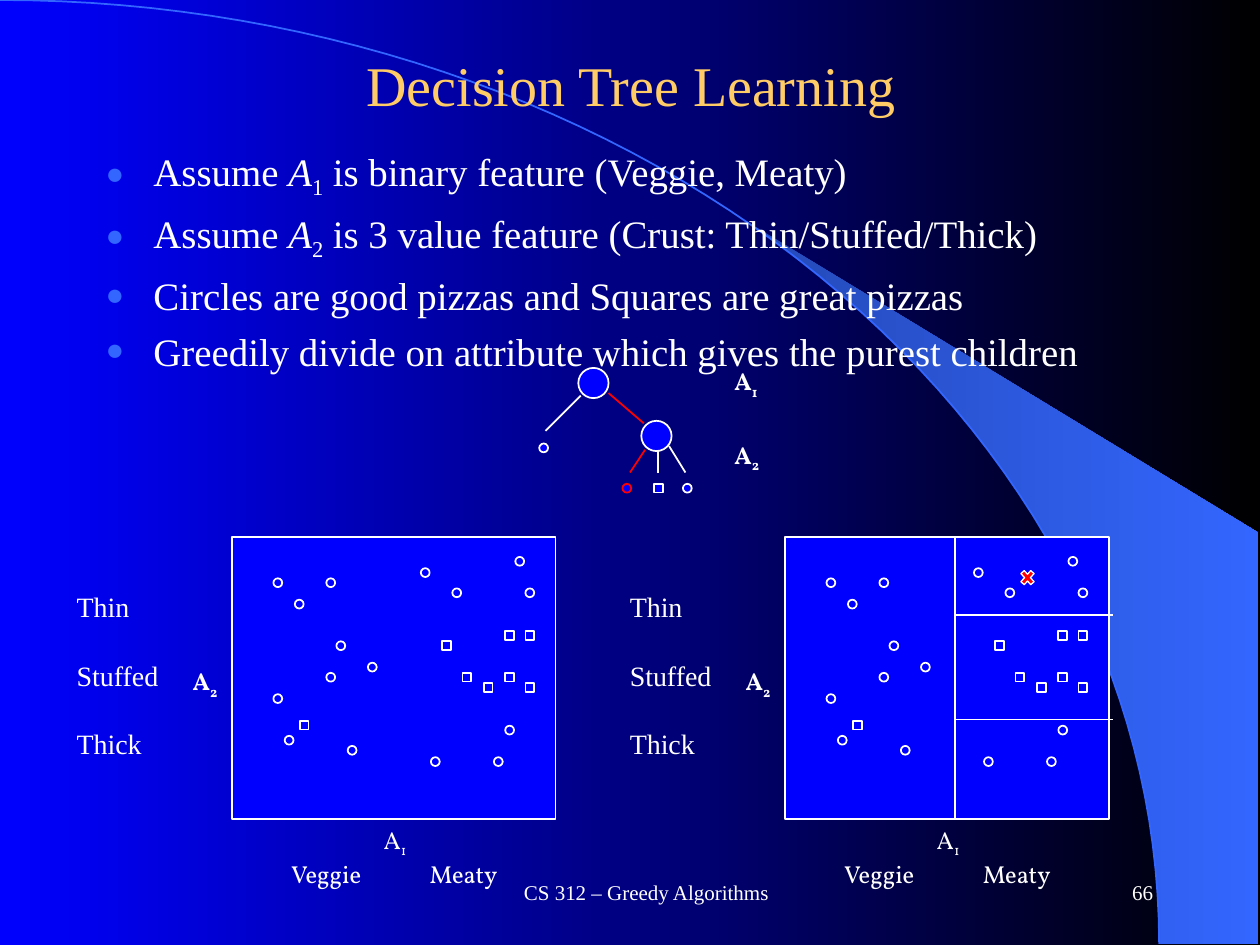
from dataclasses import dataclass
from math import asin, cos, pi, sin

from lxml.etree import SubElement
from pptx import Presentation
from pptx.dml.color import RGBColor
from pptx.enum.shapes import MSO_CONNECTOR as Link, MSO_SHAPE as Kind
from pptx.enum.text import MSO_ANCHOR as Anchor, PP_ALIGN as Align
from pptx.oxml.ns import qn
from pptx.util import Inches, Pt

BLUE = RGBColor(0x00, 0x00, 0xFF)
BLACK = RGBColor(0x00, 0x00, 0x00)
WHITE = RGBColor(0xFF, 0xFF, 0xFF)
RED = RGBColor(0xFF, 0x00, 0x00)
GOLD = RGBColor(0xFF, 0xCC, 0x66)
SKY = RGBColor(0x33, 0x66, 0xFF)
NAVY = RGBColor(0x24, 0x49, 0xB6)
SERIF, LABEL = "Times New Roman", "Vollkorn"
DOT = 0.07
ARC_W, ARC_H = 9.2, 7.49
PANEL_TOP, PANEL_W, PANEL_H = 4.26, 2.57, 2.24


@dataclass(frozen=True)
class Style:
    size: float
    font: str = SERIF
    color: RGBColor = WHITE
    bold: bool = False


@dataclass(frozen=True)
class Part:
    text: str
    sub: bool = False
    slant: bool = False


@dataclass(frozen=True)
class Mark:
    x: float
    y: float
    kind: Kind = Kind.OVAL
    size: float = DOT
    line: RGBColor = WHITE


@dataclass(frozen=True)
class Edge:
    x1: float
    y1: float
    x2: float
    y2: float
    color: RGBColor = WHITE


TAG = Style(14, LABEL)
BOLD = Style(14, LABEL, bold=True)
SMALL = Style(12)
ONE, TWO = ([Part("A"), Part(n, sub=True)] for n in "12")

GOOD = [(0.33, 0.33), (0.5, 0.5), (0.75, 0.33), (2.33, 0.41), (2.25, 0.16),
        (0.42, 1.58), (0.33, 1.25), (0.75, 1.08), (0.83, 0.83), (1.75, 0.41),
        (1.58, 1.75), (2.17, 1.5), (2.08, 1.75), (1.08, 1), (0.92, 1.66),
        (1.5, 0.25)]
GREAT = [(2.17, 0.75), (2.33, 0.75), (0.54, 1.46), (1.83, 1.08), (2, 1.16),
         (2.33, 1.16), (1.67, 0.83), (2.17, 1.08)]

BULLETS = [
    [Part("Assume "), Part("A", slant=True), Part("1", sub=True),
     Part(" is binary feature (Veggie, Meaty)")],
    [Part("Assume "), Part("A", slant=True), Part("2", sub=True),
     Part(" is 3 value feature (Crust: Thin/Stuffed/Thick)")],
    [Part("Circles are good pizzas and Squares are great pizzas")],
    [Part("Greedily divide on attribute which gives the purest children")],
]

SPLITS = [Edge(7.58, 4.26, 7.58, 6.51), Edge(7.58, 4.88, 8.83, 4.88),
          Edge(7.58, 5.71, 8.83, 5.71)]
TREE = [Edge(4.61, 3.14, 4.33, 3.42), Edge(4.83, 3.12, 5.11, 3.36, RED),
        Edge(5.12, 3.57, 5, 3.75, RED), Edge(5.22, 3.58, 5.22, 3.75),
        Edge(5.31, 3.54, 5.44, 3.75)]
NODES = [Mark(4.28, 3.52), Mark(4.94, 3.84, line=RED), Mark(5.42, 3.84),
         Mark(5.19, 3.84, Kind.RECTANGLE), Mark(4.59, 2.92, size=0.24),
         Mark(5.09, 3.34, size=0.24)]


def blend(fill, start: RGBColor, end: RGBColor) -> None:
    fill.gradient()
    fill.gradient_angle = 0
    for stop, color in zip(fill.gradient_stops, (start, end)):
        stop.color.rgb = color


def add_text(slide, x: float, y: float, w: float, h: float,
             rows: list[list[Part]], style: Style, align=Align.LEFT,
             anchor=Anchor.TOP, gap: float = 0, wrap: bool = True):
    box = slide.shapes.add_textbox(Inches(x), Inches(y), Inches(w), Inches(h))
    frame = box.text_frame
    frame.word_wrap, frame.vertical_anchor = wrap, anchor
    for i, row in enumerate(rows):
        para = frame.add_paragraph() if i else frame.paragraphs[0]
        para.alignment = align
        para.space_before = Pt(gap)
        for part in row:
            run = para.add_run()
            run.text = part.text
            font = run.font
            font.name, font.size = style.font, Pt(style.size)
            font.bold, font.italic = style.bold, part.slant
            font.color.rgb = style.color
            if part.sub:
                font._element.set("baseline", "-25000")
    return frame


def add_bullet(para) -> None:
    props = para._p.get_or_add_pPr()
    props.set("marL", str(Inches(0.38)))
    props.set("indent", str(-Inches(0.38)))
    tint = SubElement(props, qn("a:buClr"))
    SubElement(tint, qn("a:srgbClr"), val=str(SKY))
    SubElement(props, qn("a:buSzPct"), val="80000")
    SubElement(props, qn("a:buFont"), typeface=SERIF)
    SubElement(props, qn("a:buChar"), char="●")


def add_tab(para, at: float) -> None:
    stops = SubElement(para._p.get_or_add_pPr(), qn("a:tabLst"))
    SubElement(stops, qn("a:tab"), pos=str(Inches(at)), algn="l")


def add_box(slide, kind: Kind, x: float, y: float, w: float, h: float,
            line: RGBColor = WHITE, fill: RGBColor = BLUE, width: float = 1) -> None:
    box = slide.shapes.add_shape(kind, Inches(x), Inches(y), Inches(w), Inches(h))
    box.shadow.inherit = False
    box.fill.solid()
    box.fill.fore_color.rgb = fill
    box.line.color.rgb = line
    box.line.width = Pt(width)


def add_mark(slide, mark: Mark) -> None:
    add_box(slide, mark.kind, mark.x, mark.y, mark.size, mark.size, mark.line)


def add_edge(slide, edge: Edge) -> None:
    line = slide.shapes.add_connector(Link.STRAIGHT, Inches(edge.x1), Inches(edge.y1),
                                      Inches(edge.x2), Inches(edge.y2))
    line.line.color.rgb = edge.color
    line.line.width = Pt(1)
    SubElement(line._element.spPr, qn("a:effectLst"))


def arc(start: float, steps: int = 60) -> list[tuple[float, float]]:
    turns = [start + (pi / 2 - start) * i / steps for i in range(steps + 1)]
    return [(ARC_W * sin(t), ARC_H * (1 - cos(t))) for t in turns]


def add_path(slide, points: list[tuple[float, float]], close: bool):
    spots = [(Inches(x), Inches(y)) for x, y in points]
    path = slide.shapes.build_freeform(*spots[0])
    path.add_line_segments(spots[1:], close=close)
    shape = path.convert_to_shape()
    shape.shadow.inherit = False
    return shape


def add_decor(slide) -> None:
    beam = add_path(slide, arc(asin(5.89 / ARC_W)) + [(9.99, 7.49), (9.99, 4.23)], True)
    blend(beam.fill, NAVY, SKY)
    beam.line.fill.background()
    curve = add_path(slide, arc(0), False)
    curve.fill.background()
    curve.line.color.rgb = SKY
    curve.line.width = Pt(1)


def add_panel(slide, left: float) -> None:
    add_box(slide, Kind.RECTANGLE, left, PANEL_TOP, PANEL_W, PANEL_H)
    for kind, spots in ((Kind.OVAL, GOOD), (Kind.RECTANGLE, GREAT)):
        for x, y in spots:
            add_mark(slide, Mark(left + x, PANEL_TOP + y, kind))
    frame = add_text(slide, left + 0.27, 6.5, 2.05, 0.57,
                     [ONE, [Part("Veggie\tMeaty")]], TAG, Align.CENTER)
    frame.margin_left = frame.margin_right = Inches(0.2)
    names = frame.paragraphs[1]
    names.alignment = Align.LEFT
    add_tab(names, 1.1)
    add_text(slide, left - 0.41, 5.24, 0.41, 0.33, [TWO], BOLD, wrap=False)
    crusts = [[Part(name)] for name in ("Thin", "Stuffed", "Thick")]
    frame = add_text(slide, left - 1.33, 4.63, 0.9, 1.45, crusts, Style(16), gap=20)
    frame.paragraphs[0].space_before = Pt(0)


def main() -> None:
    deck = Presentation()
    deck.slide_width, deck.slide_height = Inches(10), Inches(7.5)
    slide = deck.slides.add_slide(deck.slide_layouts[6])
    blend(slide.background.fill, BLUE, BLACK)
    add_decor(slide)
    add_text(slide, 3.17, 6.83, 3.92, 0.5, [[Part("CS 312 – Greedy Algorithms")]],
             SMALL, Align.CENTER, Anchor.MIDDLE)
    add_text(slide, 7.17, 6.83, 2.08, 0.5, [[Part("66")]],
             SMALL, Align.RIGHT, Anchor.MIDDLE)
    add_text(slide, 0.76, 0.21, 8.5, 0.92, [[Part("Decision Tree Learning")]],
             Style(32, color=GOLD), Align.CENTER, Anchor.MIDDLE)
    frame = add_text(slide, 0.74, 1.12, 8.34, 1.73, BULLETS, Style(22.2), gap=5.2)
    for para in frame.paragraphs:
        add_bullet(para)
    for left in (1.84, 6.23):
        add_panel(slide, left)
    for edge in SPLITS + TREE:
        add_edge(slide, edge)
    for node in NODES:
        add_mark(slide, node)
    for top, name in ((2.86, ONE), (3.44, TWO)):
        add_text(slide, 5.73, top, 0.41, 0.33, [name], BOLD, wrap=False)
    add_box(slide, Kind.MATH_MULTIPLY, 8.08, 4.5, 0.15, 0.17, fill=RED, width=0.75)
    deck.save("out.pptx")


if __name__ == "__main__":
    main()
